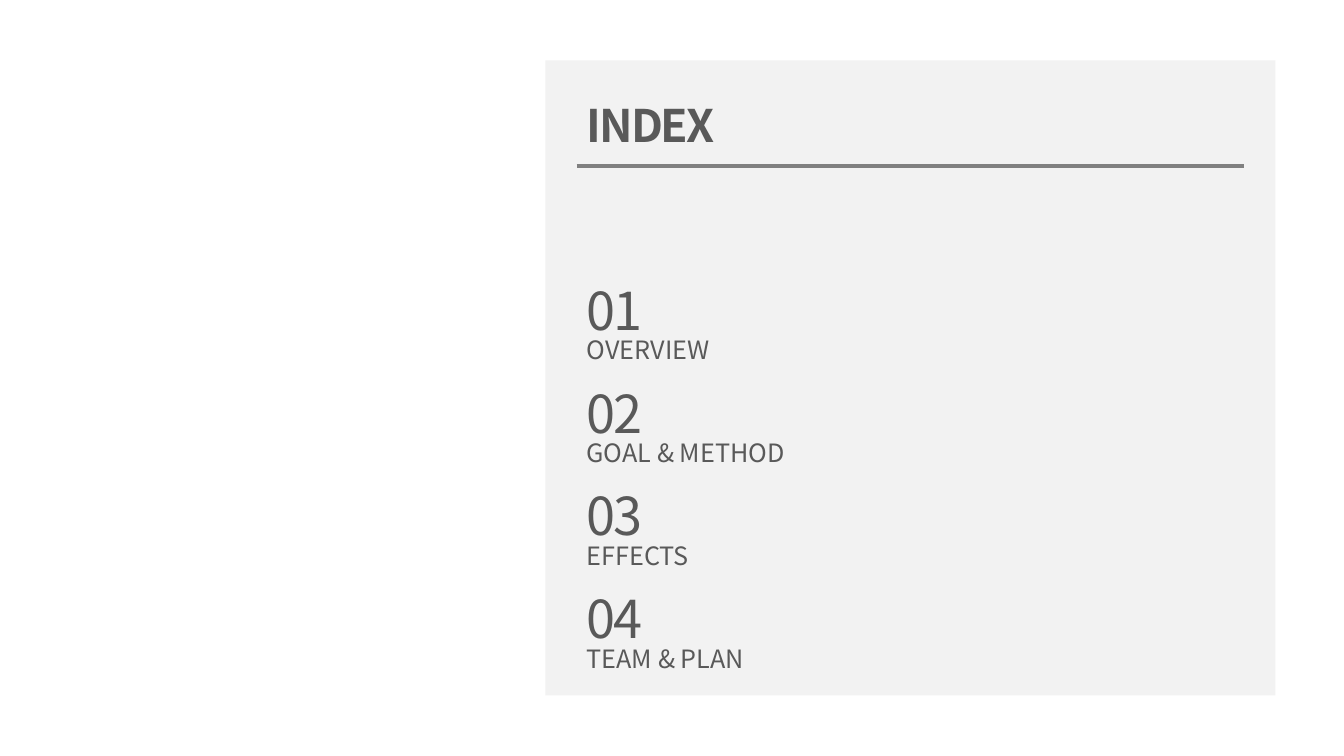
from dataclasses import dataclass

from lxml.etree import SubElement
from pptx import Presentation
from pptx.dml.color import RGBColor
from pptx.enum.shapes import MSO_CONNECTOR, MSO_SHAPE
from pptx.enum.text import MSO_ANCHOR, MSO_AUTO_SIZE, PP_ALIGN
from pptx.oxml.ns import qn
from pptx.shapes.autoshape import Shape
from pptx.slide import Slide
from pptx.util import Inches, Pt

FONT = "Noto Sans CJK KR"
INK = RGBColor(0x59, 0x59, 0x59)
RULE = RGBColor(0x80, 0x80, 0x80)
PANEL = RGBColor(0xF2, 0xF2, 0xF2)
LEFT = 5.72
TOP = 2.71
STEP = 1.02
DROP = 0.56
TIGHT = -150


@dataclass(frozen=True)
class Entry:
    number: str
    label: str


ENTRIES = (
    Entry("01", "OVERVIEW"),
    Entry("02", "GOAL & METHOD"),
    Entry("03", "EFFECTS"),
    Entry("04", "TEAM & PLAN"),
)


def write(box: Shape, text: str, size: float, bold: bool = False, spacing: int = 0) -> None:
    frame = box.text_frame
    frame.text = text
    frame.word_wrap = True
    frame.auto_size = MSO_AUTO_SIZE.SHAPE_TO_FIT_TEXT
    frame.vertical_anchor = MSO_ANCHOR.TOP
    line = frame.paragraphs[0]
    line.alignment = PP_ALIGN.LEFT
    line.font.name = FONT
    line.font.size = Pt(size)
    line.font.bold = bold
    line.font.color.rgb = INK
    if spacing:
        line.runs[0]._r.get_or_add_rPr().set("spc", str(spacing))


def add_title(slide: Slide) -> None:
    title = slide.shapes.title
    title.left, title.top = Inches(LEFT), Inches(0.92)
    title.width, title.height = Inches(4.09), Inches(0.64)
    write(title, "INDEX", 32, bold=True, spacing=TIGHT)


def add_panel(slide: Slide) -> None:
    panel = slide.shapes.add_shape(
        MSO_SHAPE.RECTANGLE, Inches(5.41), Inches(0.6), Inches(7.24), Inches(6.3)
    )
    panel.shadow.inherit = False
    panel.fill.solid()
    panel.fill.fore_color.rgb = PANEL
    panel.line.fill.background()
    slide.shapes.title.element.addprevious(panel.element)


def add_rule(slide: Slide) -> None:
    rule = slide.shapes.add_connector(
        MSO_CONNECTOR.STRAIGHT, Inches(LEFT), Inches(1.65), Inches(12.34), Inches(1.65)
    )
    rule.line.color.rgb = RULE
    rule.line.width = Pt(3)
    SubElement(rule.element.spPr, qn("a:effectLst"))


def add_entry(slide: Slide, entry: Entry, top: float) -> None:
    label = slide.shapes.add_textbox(
        Inches(LEFT), Inches(top + DROP), Inches(4.05), Inches(0.4)
    )
    write(label, entry.label, 18)
    number = slide.shapes.add_textbox(
        Inches(LEFT), Inches(top), Inches(1.68), Inches(0.73)
    )
    write(number, entry.number, 37.3, spacing=TIGHT)


def main() -> None:
    deck = Presentation()
    deck.slide_width, deck.slide_height = Inches(13.33), Inches(7.5)
    slide = deck.slides.add_slide(deck.slide_layouts.get_by_name("Title Only"))
    add_panel(slide)
    add_title(slide)
    add_rule(slide)
    for index, entry in enumerate(ENTRIES):
        add_entry(slide, entry, TOP + index * STEP)
    deck.save("out.pptx")


if __name__ == "__main__":
    main()
